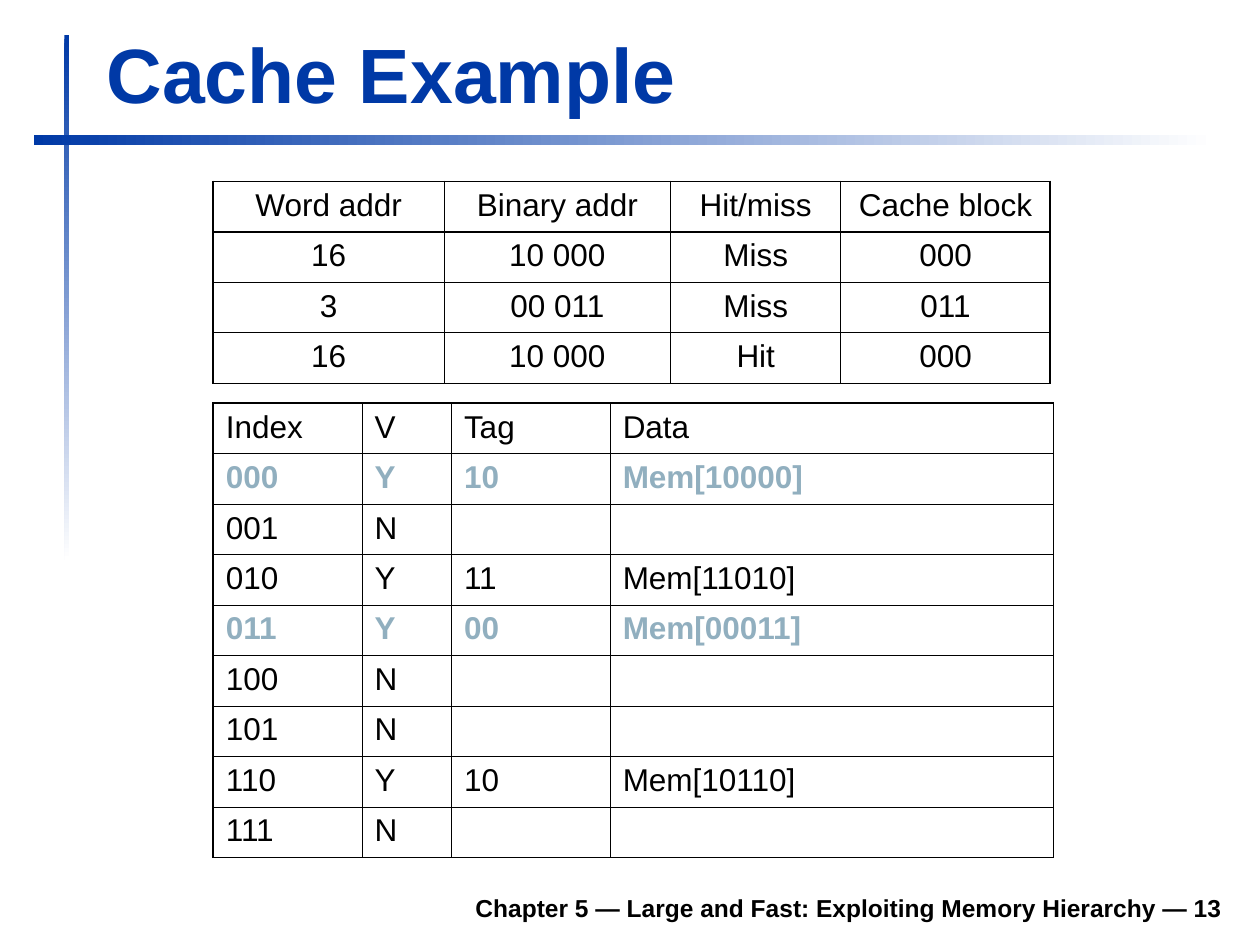
"""Build the cache example slide with its access log and cache contents."""
from dataclasses import dataclass

from lxml import etree
from pptx import Presentation
from pptx import util as u
from pptx.dml.color import RGBColor
from pptx.enum import shapes, text
from pptx.oxml.ns import qn


@dataclass(frozen=True)
class Theme:
    """Hold the colours, type sizes and line widths."""
    font: str = "Arial"
    ink: str = "000000"
    blue: str = "0039A6"
    paper: str = "FFFFFF"
    changed: str = "91AFBF"
    title_size: float = 44
    body_size: float = 18
    footer_size: float = 14
    space_before: float = 4.5
    frame: float = 1.08
    rule: float = 0.74
    hairline: float = 0.45


THEME = Theme()

ACCESSES = [
    ("Word addr", "Binary addr", "Hit/miss", "Cache block"),
    ("16", "10 000", "Miss", "000"),
    ("3", "00 011", "Miss", "011"),
    ("16", "10 000", "Hit", "000"),
]
BLOCKS = [
    ("Index", "V", "Tag", "Data"),
    ("000", "Y", "10", "Mem[10000]"),
    ("001", "N", "", ""),
    ("010", "Y", "11", "Mem[11010]"),
    ("011", "Y", "00", "Mem[00011]"),
    ("100", "N", "", ""),
    ("101", "N", "", ""),
    ("110", "Y", "10", "Mem[10110]"),
    ("111", "N", "", ""),
]
CHANGED_ROWS = (1, 4)


def style_paragraph(paragraph, size, color, bold=False, align=text.PP_ALIGN.LEFT):
    """Set the alignment and the font of a paragraph and its runs."""
    paragraph.alignment = align
    for font in [paragraph.font] + [run.font for run in paragraph.runs]:
        font.name = THEME.font
        font.size = u.Pt(size)
        font.bold = bold
        font.color.rgb = RGBColor.from_string(color)


def add_fading_bar(slide, left, top, width, height, angle):
    """Add a bar that fades from blue to the paper colour."""
    bar = slide.shapes.add_shape(
        shapes.MSO_SHAPE.RECTANGLE, *map(u.Cm, (left, top, width, height)))
    bar.shadow.inherit = False
    bar.line.fill.background()
    bar.fill.gradient()
    bar.fill.gradient_angle = angle
    for stop, color in zip(bar.fill.gradient_stops, (THEME.blue, THEME.paper)):
        stop.color.rgb = RGBColor.from_string(color)


def add_label(slide, wording, left, top, width, height, size, color, align):
    """Add a bold line of text that stands on the bottom of its box."""
    label = slide.shapes.add_textbox(*map(u.Cm, (left, top, width, height)))
    frame = label.text_frame
    frame.word_wrap = True
    frame.vertical_anchor = text.MSO_ANCHOR.BOTTOM
    frame.text = wording
    style_paragraph(frame.paragraphs[0], size, color, True, align)


def set_borders(cell, widths):
    """Draw the left, right, top and bottom borders of a cell."""
    properties = cell._tc.get_or_add_tcPr()
    for position, (side, width) in enumerate(zip("LRTB", widths)):
        line = etree.Element(qn(f"a:ln{side}"), w=str(u.Pt(width)))
        fill = etree.SubElement(line, qn("a:solidFill"))
        etree.SubElement(fill, qn("a:srgbClr"), val=THEME.ink)
        properties.insert(position, line)


def edge_widths(count, inner):
    """List the line widths across a grid, with the frame at both ends."""
    return [THEME.frame, *inner[:count - 1], THEME.frame]


def add_grid(slide, rows, left, top, column_widths, height, row_rules,
             align=text.PP_ALIGN.LEFT, changed=()):
    """Add a ruled table whose changed rows are bold and tinted."""
    holder = slide.shapes.add_table(
        len(rows), len(column_widths), u.Cm(left), u.Cm(top),
        u.Cm(sum(column_widths)), u.Cm(height))
    grid = holder.table
    grid.first_row = grid.horz_banding = False
    for column, width in zip(grid.columns, column_widths):
        column.width = u.Cm(width)
    across = edge_widths(len(column_widths), [THEME.hairline] * len(column_widths))
    down = edge_widths(len(rows), row_rules)
    for r, values in enumerate(rows):
        color = THEME.changed if r in changed else THEME.ink
        for c, value in enumerate(values):
            cell = grid.cell(r, c)
            cell.fill.background()
            cell.text_frame.text = value
            paragraph = cell.text_frame.paragraphs[0]
            paragraph.space_before = u.Pt(THEME.space_before)
            style_paragraph(paragraph, THEME.body_size, color, r in changed, align)
            set_borders(cell, (*across[c:c + 2], *down[r:r + 2]))


def main():
    """Build and save the slide."""
    deck = Presentation()
    deck.slide_width, deck.slide_height = u.Cm(25.4), u.Cm(19.05)
    slide = deck.slides.add_slide(deck.slide_layouts[6])
    add_fading_bar(slide, 1.3, 0.71, 0.1, 10.59, 270)
    add_fading_bar(slide, 0.69, 2.72, 23.8, 0.2, 0)
    add_label(slide, "Chapter 5 — Large and Fast: Exploiting Memory Hierarchy — 13",
              4.7, 17.73, 20.19, 0.99, THEME.footer_size, THEME.ink,
              text.PP_ALIGN.RIGHT)
    add_label(slide, "Cache Example", 1.9, 0.41, 22.94, 2.11,
              THEME.title_size, THEME.blue, text.PP_ALIGN.LEFT)
    add_grid(slide, BLOCKS, 4.3, 8.13, (3, 1.8, 3.2, 8.94), 9.14,
             [THEME.rule] + [THEME.hairline] * 7, changed=CHANGED_ROWS)
    add_grid(slide, ACCESSES, 4.3, 3.66, (4.65, 4.57, 3.43, 4.22), 4.06,
             [THEME.rule] * 3, align=text.PP_ALIGN.CENTER)
    deck.save("out.pptx")


main()
